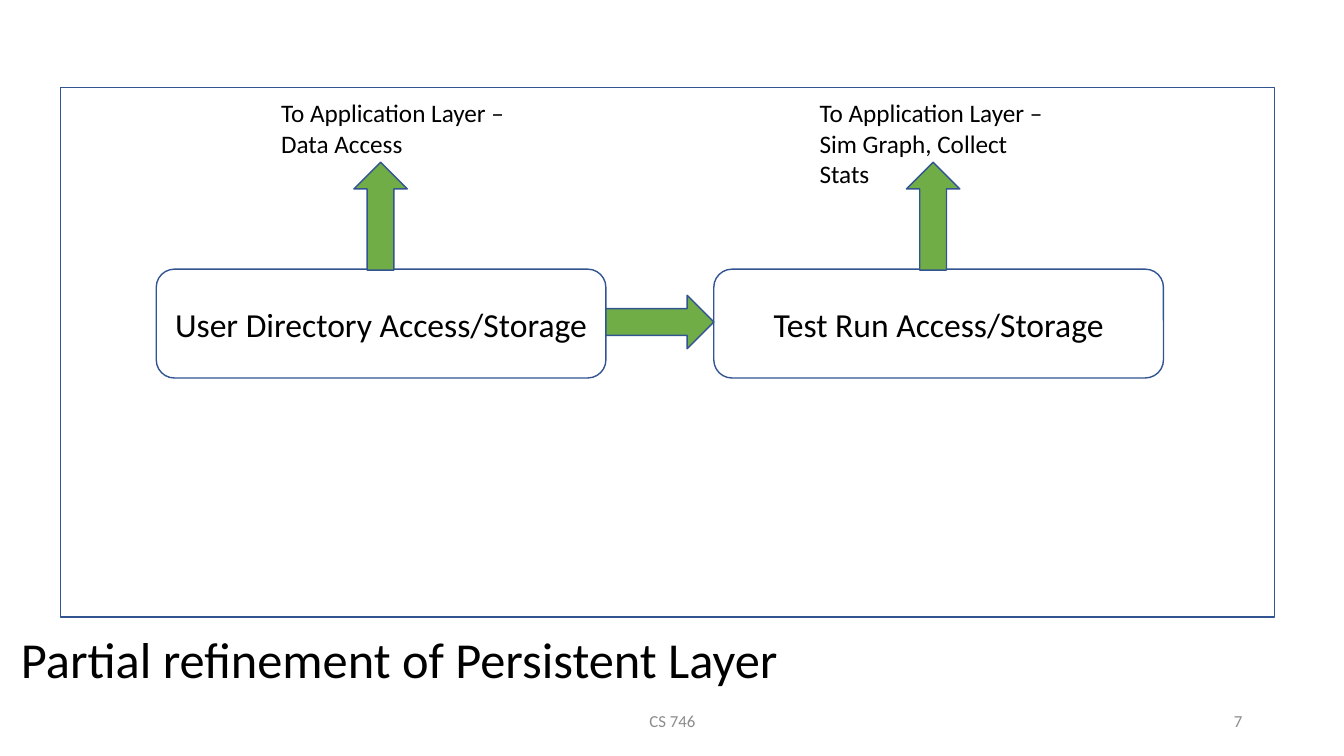
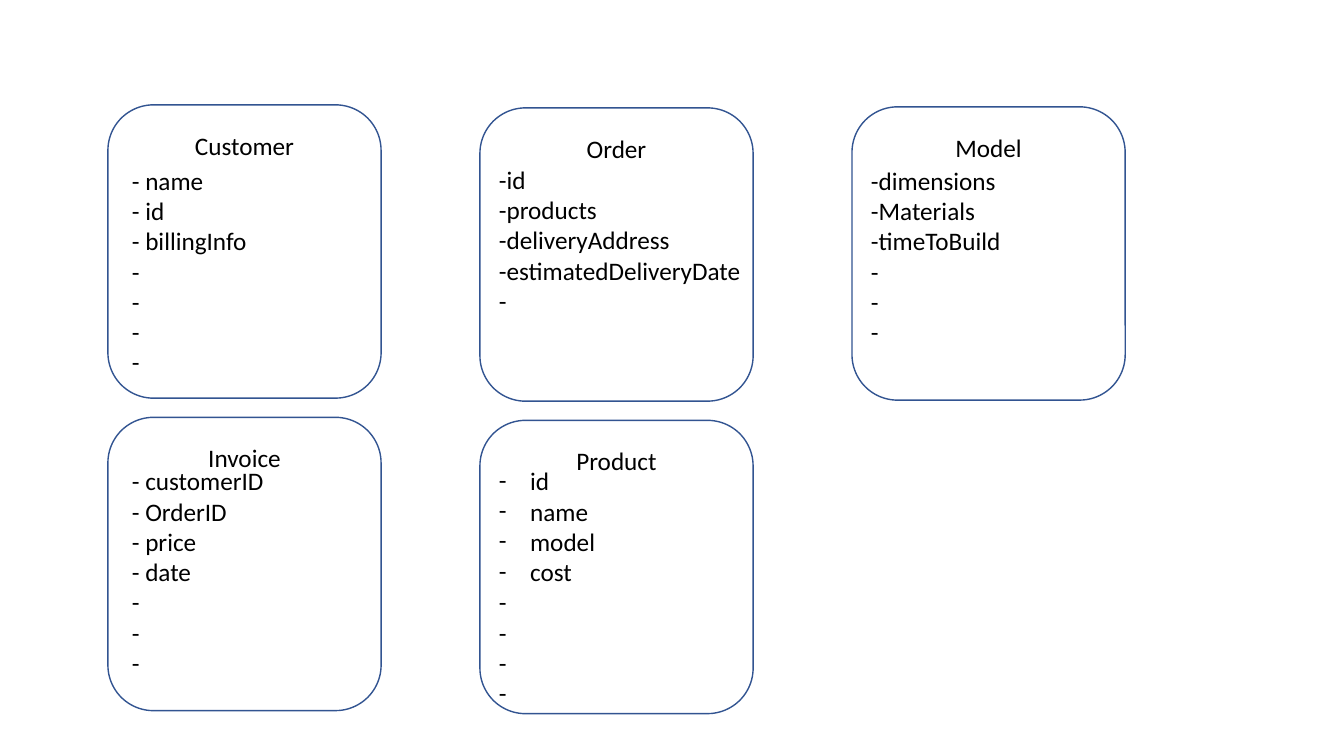
"""Builds two design slides: a layer refinement and a set of entity cards."""
from dataclasses import dataclass

from lxml import etree
from pptx import Presentation, util as u
from pptx.dml.color import RGBColor
from pptx.enum import shapes, text
from pptx.oxml import ns

PX = u.Inches(1) // 100
SHAPE = shapes.MSO_SHAPE
ALIGN = text.PP_ALIGN
ANCHOR = text.MSO_ANCHOR


@dataclass(frozen=True)
class Theme:
    """Colours and type sizes shared by both slides."""
    font: str = "Calibri"
    ink: str = "000000"
    muted: str = "8C8C8C"
    outline: str = "325491"
    arrow: str = "70AD47"
    caption: int = 36
    label: int = 24
    body: int = 18
    footer: int = 12
    line: int = 1


T = Theme()


def px(*values):
    """Turns px lengths into EMU."""
    return [u.Emu(v * PX) for v in values]


def write(tf, lines, size, color=T.ink, align=ALIGN.LEFT, anchor=ANCHOR.TOP):
    """Fills a text frame with one paragraph per line."""
    tf.word_wrap = True
    tf.vertical_anchor = anchor
    for i, line in enumerate(lines):
        p = tf.paragraphs[0] if i == 0 else tf.add_paragraph()
        p.alignment = align
        r = p.add_run()
        r.text = line
        r.font.name = T.font
        r.font.size = u.Pt(size)
        r.font.color.rgb = RGBColor.from_string(color)
    return tf


def add_text(s, box, lines, size, **style):
    """Adds a wrapping text box."""
    return write(s.shapes.add_textbox(*px(*box)).text_frame, lines, size, **style)


def add_outlined(s, kind, box, fill=None):
    """Adds an outlined shape, with no fill unless one is given."""
    sp = s.shapes.add_shape(kind, *px(*box))
    sp.shadow.inherit = False
    sp.line.color.rgb = RGBColor.from_string(T.outline)
    sp.line.width = u.Pt(T.line)
    if fill:
        sp.fill.solid()
        sp.fill.fore_color.rgb = RGBColor.from_string(fill)
    else:
        sp.fill.background()
    return sp


def add_dash(p, indent):
    """Gives a paragraph a hanging dash bullet."""
    pPr = p._p.get_or_add_pPr()
    left, = px(indent)
    pPr.set("marL", str(left))
    pPr.set("indent", str(-left))
    etree.SubElement(pPr, ns.qn("a:buFont")).set("typeface", T.font)
    etree.SubElement(pPr, ns.qn("a:buChar")).set("char", "-")


def add_footer(s, course, number):
    """Places the course name and slide number."""
    for box, line, align in (((442, 695, 450, 40), course, ALIGN.CENTER),
                             ((942, 695, 300, 40), number, ALIGN.RIGHT)):
        add_text(s, box, [line], T.footer, color=T.muted, align=align,
                 anchor=ANCHOR.MIDDLE)


def add_component(s, box, name):
    """Places a rounded component with its centred name."""
    sp = add_outlined(s, SHAPE.ROUNDED_RECTANGLE, box)
    tf = write(sp.text_frame, [name], T.label, align=ALIGN.CENTER,
               anchor=ANCHOR.MIDDLE)
    tf.margin_left = tf.margin_right = 0


def add_layer(s, box):
    """Places the layer frame, its components, arrows and outgoing notes."""
    x, y, w, h = box
    add_outlined(s, SHAPE.RECTANGLE, box)
    width, height, gap = 446, 108, 107
    thick, top = 53, y + 180
    components = (
        ("User Directory Access/Storage", "To Application Layer – Data Access",
         200, 209, 247),
        ("Test Run Access/Storage",
         "To Application Layer – Sim Graph, Collect Stats", 195, 743, 255),
    )
    for i, (name, note, arrow_dx, note_dx, note_w) in enumerate(components):
        left = x + 95 + i * (width + gap)
        add_component(s, (left, top, width, height), name)
        add_outlined(s, SHAPE.UP_ARROW,
                     (left + arrow_dx - 4, y + 74, thick, gap), T.arrow)
        add_text(s, (x + note_dx, y + 5, note_w, 71), [note], T.body)
    add_outlined(s, SHAPE.RIGHT_ARROW,
                 (x + 95 + width, top + 26, gap, thick), T.arrow)


def add_entity(s, box, name, fields, offset, dashes=0):
    """Places an entity card with its name and field list."""
    x, y, w, h = box
    sp = add_outlined(s, SHAPE.ROUNDED_RECTANGLE, box)
    tf = write(sp.text_frame, [name], T.body, align=ALIGN.CENTER)
    tf.margin_top, = px(12)
    dx, dy = offset
    tf = add_text(s, (x + dx, y + dy, w + 6, h - dy), fields, T.body)
    for p in tf.paragraphs[:dashes]:
        add_dash(p, 31)


def build_layer_slide(s):
    """Builds the persistent layer slide."""
    add_footer(s, "CS 746", "7")
    add_text(s, (11, 618, 775, 71), ["Partial refinement of Persistent Layer"],
             T.caption)
    add_layer(s, (60, 87, 1204, 525))


def build_entity_slide(s):
    """Builds the grid of entity cards."""
    x, y, w, h = 107, 104, 271, 291
    pitch_x, pitch_y = 369, 310
    entities = (
        (0, 0, 0, "Customer",
         ["- name", "- id", "- billingInfo"] + ["-"] * 4, (14, 55), 0),
        (0, 1, 0, "Invoice",
         ["- customerID", "- OrderID", "- price", "- date"] + ["-"] * 3,
         (14, 43), 0),
        (1, 0, 3, "Order",
         ["-id", "-products", "-deliveryAddress", "-estimatedDeliveryDate", "-"],
         (9, 51), 0),
        (1, 1, 3, "Product",
         ["id", "name", "model", "cost"] + ["-"] * 4, (9, 40), 4),
        (2, 0, 2, "Model",
         ["-dimensions", "-Materials", "-timeToBuild"] + ["-"] * 3, (9, 53), 0),
    )
    for col, row, drop, name, fields, offset, dashes in entities:
        box = (x + col * pitch_x, y + row * pitch_y + drop, w, h)
        add_entity(s, box, name, fields, offset, dashes)


def main():
    """Creates and saves the presentation."""
    prs = Presentation()
    prs.slide_width, prs.slide_height = u.Inches(13.33), u.Inches(7.5)
    for build in (build_layer_slide, build_entity_slide):
        build(prs.slides.add_slide(prs.slide_layouts[6]))
    prs.save("out.pptx")


if __name__ == "__main__":
    main()
